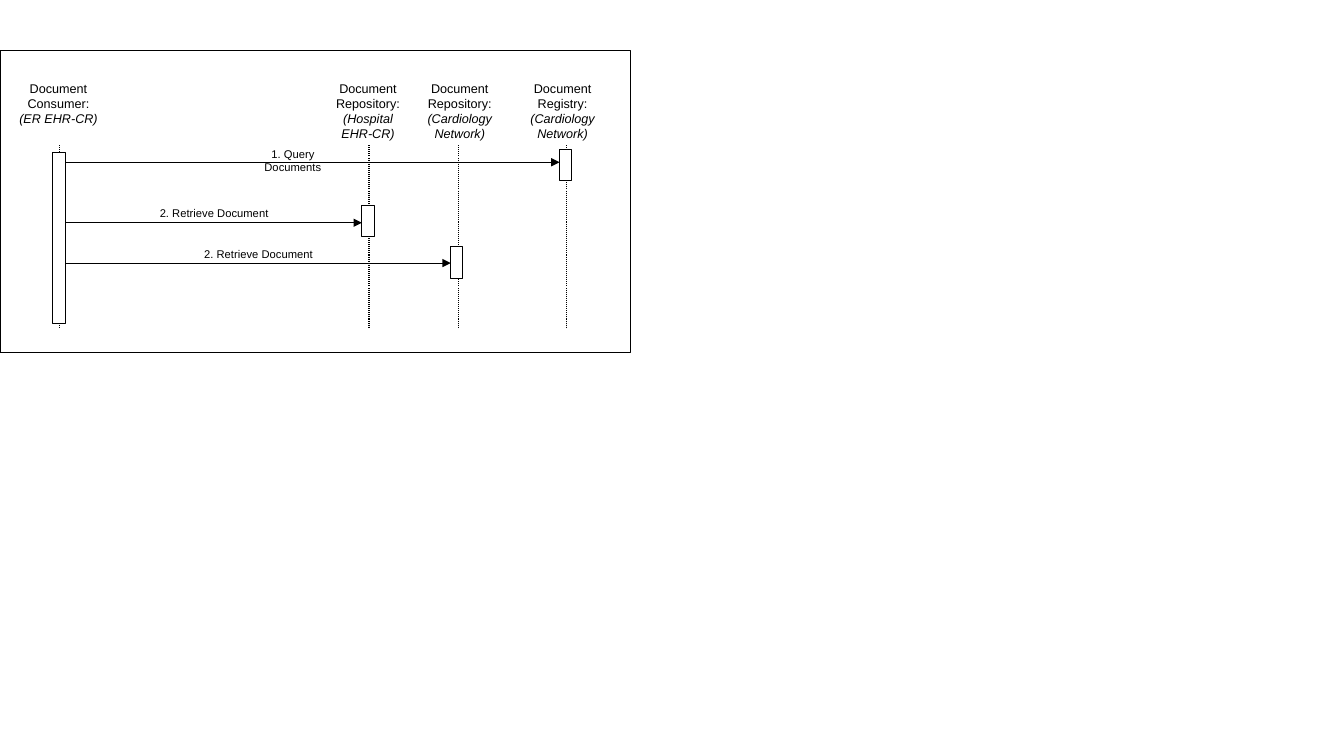
from dataclasses import dataclass

from pptx import Presentation
from pptx.dml.color import RGBColor
from pptx.enum.dml import MSO_LINE
from pptx.enum.shapes import MSO_CONNECTOR, MSO_SHAPE
from pptx.enum.text import MSO_ANCHOR, PP_ALIGN
from pptx.oxml.ns import qn
from pptx.util import Inches, Pt
from lxml import etree

RECTANGLE = MSO_SHAPE.RECTANGLE
STRAIGHT = MSO_CONNECTOR.STRAIGHT
DOTTED = MSO_LINE.ROUND_DOT
CENTER = PP_ALIGN.CENTER
TOP = MSO_ANCHOR.TOP


@dataclass(frozen=True)
class Theme:
    """Colours, font, type sizes and line width of the diagram."""
    ink: RGBColor = RGBColor(0, 0, 0)
    paper: RGBColor = RGBColor(255, 255, 255)
    font: str = "Arial"
    header_size: Pt = Pt(9)
    label_size: Pt = Pt(8)
    stroke: Pt = Pt(0.75)


THEME = Theme()

HEADER_TOP, HEADER_HEIGHT = 0.75, 0.69
LIFELINE_TOP, LIFELINE_BOTTOM = 1.44, 3.25
BAR_WIDTH, CALL_HEIGHT = 0.12, 0.31
LABEL_HEIGHT = 0.28
CONSUMER_EDGE = 0.65

# Each actor: lifeline x, header left, header width, name lines, role lines
ACTORS = [
    (0.59, 0.06, 1.04, ["Document Consumer:"], ["(ER EHR-CR)"]),
    (3.66, 3.23, 0.84, ["Document Repository:"], ["(Hospital", "EHR-CR)"]),
    (4.55, 4.14, 0.84, ["Document Repository:"], ["(Cardiology Network)"]),
    (5.62, 5.10, 0.96, ["Document", "Registry:"], ["(Cardiology Network)"]),
]

# Each message: text, arrow y, bar left, bar top, label left, top and width
MESSAGES = [
    ("1. Query Documents", 1.61, 5.55, 1.48, 2.3, 1.41, 1.21),
    ("2. Retrieve Document", 2.21, 3.59, 2.04, 0.66, 2.0, 2.93),
    ("2. Retrieve Document", 2.61, 4.47, 2.45, 0.66, 2.4, 3.81),
]


def add_box(page, left, top, width, height, filled=True, outlined=True):
    """Add a plain rectangle and return it."""
    box = page.shapes.add_shape(
        RECTANGLE, Inches(left), Inches(top), Inches(width), Inches(height))
    box.shadow.inherit = False
    if filled:
        box.fill.solid()
        box.fill.fore_color.rgb = THEME.paper
    else:
        box.fill.background()
    if outlined:
        box.line.color.rgb = THEME.ink
        box.line.width = THEME.stroke
    else:
        box.line.fill.background()
    return box


def add_line(page, start, end):
    """Add a thin straight line without shadow and return it."""
    line = page.shapes.add_connector(STRAIGHT, *map(Inches, start + end))
    line.line.color.rgb = THEME.ink
    line.line.width = THEME.stroke
    etree.SubElement(line.element.spPr, qn("a:effectLst"))
    return line


def add_lifeline(page, x):
    """Add the dotted lifeline below an actor."""
    line = add_line(page, (x, LIFELINE_TOP), (x, LIFELINE_BOTTOM))
    line.line.dash_style = DOTTED


def add_arrow(page, y, end_x):
    """Add a message arrow from the consumer to a call bar."""
    arrow = add_line(page, (CONSUMER_EDGE, y), (end_x, y))
    outline = arrow.line.fill._xPr
    etree.SubElement(outline, qn("a:tailEnd"), type="triangle")


def format_text(box, size, side_margin):
    """Set up a centred, wrapping text frame and return its paragraph."""
    frame = box.text_frame
    frame.word_wrap = True
    frame.vertical_anchor = TOP
    frame.margin_left = frame.margin_right = Inches(side_margin)
    frame.margin_top = frame.margin_bottom = Inches(0.05)
    para = frame.paragraphs[0]
    para.alignment = CENTER
    para.font.name = THEME.font
    para.font.size = size
    para.font.color.rgb = THEME.ink
    return para


def add_header(page, left, width, name_lines, role_lines):
    """Add an actor's name with its role in italics."""
    box = add_box(page, left, HEADER_TOP, width, HEADER_HEIGHT, outlined=False)
    para = format_text(box, THEME.header_size, 0.05)
    lines = [(text, False) for text in name_lines]
    lines += [(text, True) for text in role_lines]
    for index, (text, italic) in enumerate(lines):
        if index:
            para.add_line_break()
        span = para.add_run()
        span.text = text
        if italic:
            span.font.italic = True


def add_label(page, text, left, top, width):
    """Add the text of a message."""
    box = page.shapes.add_textbox(
        Inches(left), Inches(top), Inches(width), Inches(LABEL_HEIGHT))
    format_text(box, THEME.label_size, 0.15).add_run().text = text


def main():
    """Build the sequence diagram and save it."""
    deck = Presentation()
    deck.slide_width, deck.slide_height = Inches(13.33), Inches(7.5)
    page = deck.slides.add_slide(deck.slide_layouts[6])

    add_box(page, 0, 0.5, 6.25, 3, filled=False)
    for x, left, width, name_lines, role_lines in ACTORS:
        add_header(page, left, width, name_lines, role_lines)
        add_lifeline(page, x)
    add_box(page, 0.52, 1.51, 0.13, 1.7)
    for text, y, bar_left, bar_top, left, top, width in MESSAGES:
        add_box(page, bar_left, bar_top, BAR_WIDTH, CALL_HEIGHT)
        add_arrow(page, y, bar_left)
        add_label(page, text, left, top, width)

    deck.save("out.pptx")


if __name__ == "__main__":
    main()
